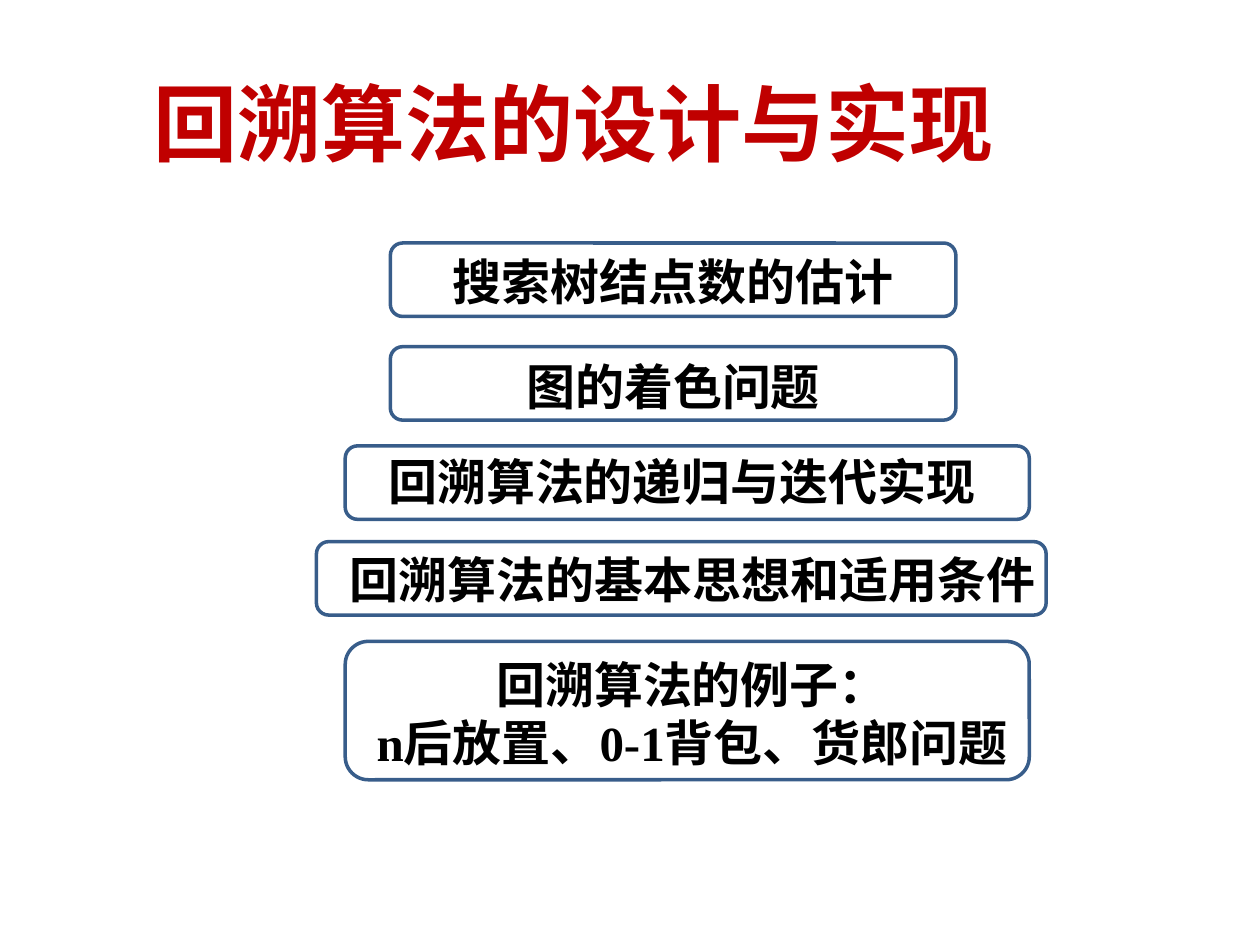
"""Build a slide of five framed topics under a red title."""
import pptx
import pptx.util
import pptx.dml.color
import pptx.enum.shapes
import pptx.enum.text
from lxml import etree

Cm = pptx.util.Cm
Pt = pptx.util.Pt
TITLE = "回溯算法的设计与实现"
HEAD = (1.6, 1.42, 19.94, 2.08)
# frame box, then label box: left, top, width, height
TOPICS = [
    (["搜索树结点数的估计"], (7.87, 4.9, 11.4, 1.48), (7.87, 4.95, 11.4, 1.45)),
    (["图的着色问题"], (7.87, 6.99, 11.4, 1.48), (7.87, 7.06, 11.4, 1.45)),
    (["回溯算法的递归与迭代实现"], (6.96, 8.99, 13.79, 1.48), (5.92, 8.97, 15.65, 1.45)),
    (["回溯算法的基本思想和适用条件"], (6.38, 10.92, 14.71, 1.48), (6.3, 10.95, 15.32, 1.45)),
    (["回溯算法的例子：", "n后放置、0-1背包、货郎问题"],
     (6.96, 12.93, 13.79, 2.79), (6.38, 13.06, 15.14, 2.64)),
]
HAN = "Noto Sans CJK SC"
BIG = {"name": HAN, "size": Pt(48), "bold": True}
MID = {"name": "Times New Roman", "size": Pt(28), "bold": True}
FLAT = {"margin_left": 0, "margin_right": 0, "margin_top": 0, "margin_bottom": 0,
        "word_wrap": True, "auto_size": pptx.enum.text.MSO_AUTO_SIZE.NONE,
        "vertical_anchor": pptx.enum.text.MSO_ANCHOR.MIDDLE}
LABEL = {"word_wrap": True, "vertical_anchor": pptx.enum.text.MSO_ANCHOR.TOP}


def paint(color, code):
    color.rgb = pptx.dml.color.RGBColor.from_string(code)


def apply(item, style):
    for key, value in style.items():
        setattr(item, key, value)


def place(shape, box):
    apply(shape, dict(zip(("left", "top", "width", "height"), map(Cm, box))))


def write(shape, lines, font, code, body):
    frame = shape.text_frame
    apply(frame, body)
    frame.text = "\n".join(lines)
    for para in frame.paragraphs:
        para.alignment = pptx.enum.text.PP_ALIGN.CENTER
        run = para.runs[0]
        apply(run.font, font)
        paint(run.font.color, code)
        props = run._r.get_or_add_rPr()
        etree.SubElement(props, pptx.oxml.ns.qn("a:ea"), typeface=HAN)


def border(shapes, box):
    kind = pptx.enum.shapes.MSO_SHAPE.ROUNDED_RECTANGLE
    shape = shapes.add_shape(kind, *map(Cm, box))
    shape.shadow.inherit = False
    shape.fill.background()
    paint(shape.line.color, "385D8A")
    shape.line.width = Pt(2)


def main():
    deck = pptx.Presentation()
    deck.slide_width, deck.slide_height = Cm(25.4), Cm(19.05)
    shapes = deck.slides.add_slide(deck.slide_layouts[5]).shapes
    place(shapes.title, HEAD)
    write(shapes.title, [TITLE], BIG, "C00000", FLAT)
    for lines, edge, box in TOPICS:
        border(shapes, edge)
        label = shapes.add_textbox(*map(Cm, box))
        write(label, lines, MID, "000000", LABEL)
    deck.save("out.pptx")


if __name__ == "__main__":
    main()
